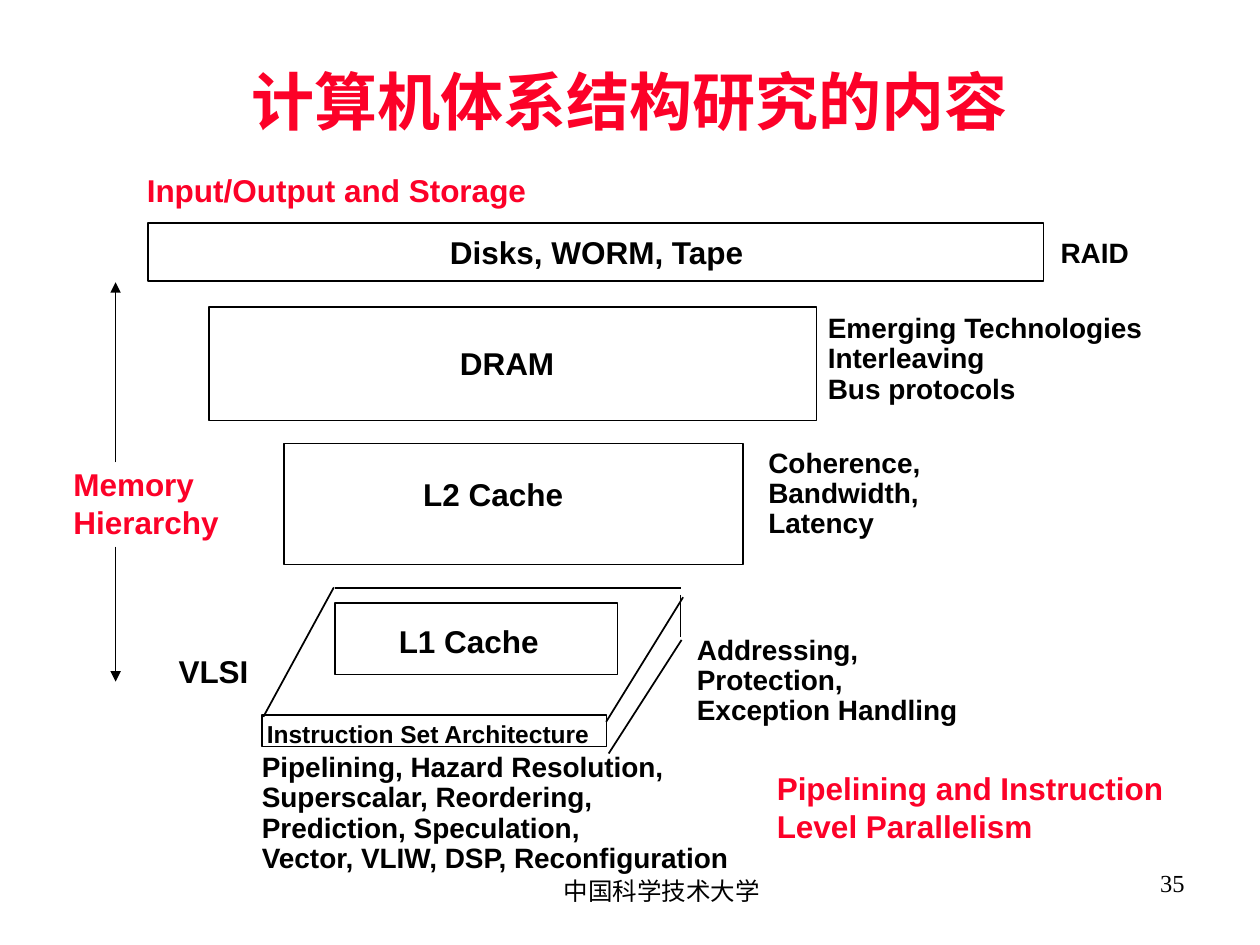
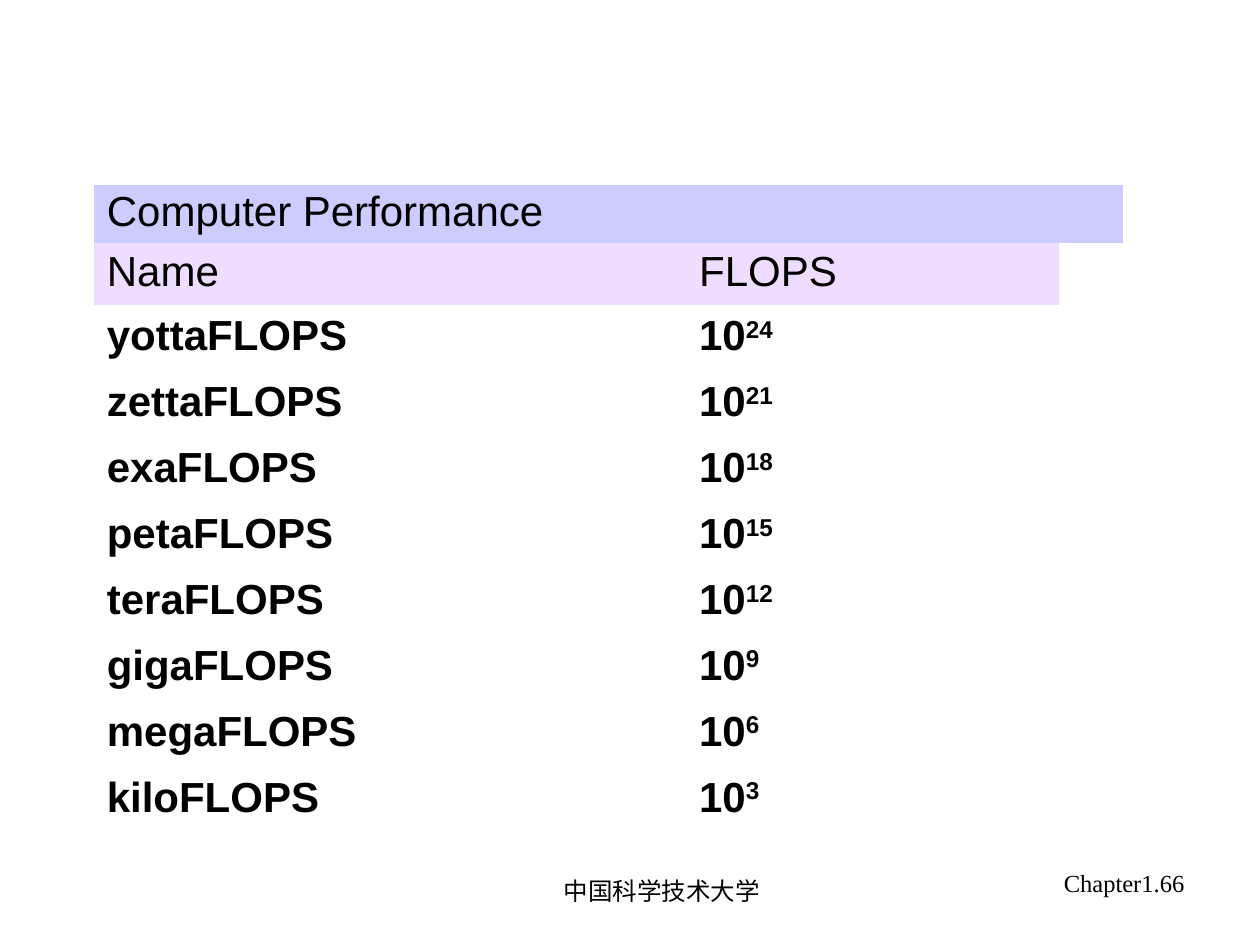
"""Build two computer architecture slides: the research topics and the FLOPS scale."""
from lxml import etree
from pptx import Presentation
from pptx.dml.color import RGBColor
from pptx.enum.shapes import MSO_CONNECTOR, MSO_SHAPE
from pptx.enum.text import MSO_ANCHOR, PP_ALIGN
from pptx.oxml.ns import qn
from pptx.util import Cm, Pt

COLOURS = {"ink": "000000", "red": "FC0128", "blue_band": "CCCCFF", "lilac_band": "EEDDFF"}
CJK_FONT = "Noto Sans CJK SC"
NO_STYLE = "{2D5ABB26-0587-4C30-8999-92F81FD0307C}"


def write(frame, text, size=18, colour="ink", bold=True, font="Arial",
          align=PP_ALIGN.LEFT, spacing=0.9, power=None):
    for index, line in enumerate(text.split("\n")):
        paragraph = frame.paragraphs[0] if index == 0 else frame.add_paragraph()
        paragraph.alignment = align
        paragraph.line_spacing = spacing
        for part in filter(None, (line, power)):
            run = paragraph.add_run()
            run.text = part
            run.font.size = Pt(size)
            run.font.bold = bold
            run.font.name = font
            run.font.color.rgb = RGBColor.from_string(COLOURS[colour])
            properties = run.font._element
            etree.SubElement(properties, qn("a:ea")).set("typeface", CJK_FONT)
            if part == power:
                properties.set("baseline", "30000")


def draw_line(slide, start, end, arrow=False):
    line = slide.shapes.add_connector(MSO_CONNECTOR.STRAIGHT, *map(Cm, start + end))
    line.line.width = Pt(1)
    line.line.color.rgb = RGBColor.from_string(COLOURS["ink"])
    if arrow:
        etree.SubElement(line.line._get_or_add_ln(), qn("a:tailEnd")).set("type", "triangle")
    etree.SubElement(line._element.spPr, qn("a:effectLst"))


deck = Presentation()
deck.slide_width, deck.slide_height = Cm(25.4), Cm(19.05)
topics, performance = [deck.slides.add_slide(deck.slide_layouts[6]) for _ in range(2)]

for slide, number in ((topics, "35"), (performance, "Chapter1.66")):
    university = slide.shapes.add_textbox(Cm(9.32), Cm(17.32), Cm(8.05), Cm(1.27)).text_frame
    university.vertical_anchor = MSO_ANCHOR.MIDDLE
    write(university, "中国科学技术大学", size=14, bold=False, font="Times New Roman",
          align=PP_ALIGN.CENTER, spacing=1.0)
    page = slide.shapes.add_textbox(Cm(18.21), Cm(17.38), Cm(5.92), Cm(1.32)).text_frame
    page.word_wrap = True
    write(page, number, size=14, bold=False, font="Times New Roman",
          align=PP_ALIGN.RIGHT, spacing=1.0)

title = topics.shapes.add_textbox(Cm(2.75), Cm(1.27), Cm(19.9), Cm(1.7)).text_frame
title.word_wrap = True
title.vertical_anchor = MSO_ANCHOR.MIDDLE
write(title, "计算机体系结构研究的内容", size=36, colour="red", font=CJK_FONT,
      align=PP_ALIGN.CENTER)

levels = [
    (2.98, 4.5, 18.06, 1.17),
    (4.22, 6.19, 12.24, 2.29),
    (5.73, 8.94, 9.25, 2.44),
    (6.76, 12.15, 5.69, 1.45),
    (5.28, 14.41, 6.95, 0.64),
]
for bounds in levels:
    level = topics.shapes.add_shape(MSO_SHAPE.RECTANGLE, *map(Cm, bounds))
    level.shadow.inherit = False
    level.fill.background()
    level.line.width = Pt(1)
    level.line.color.rgb = RGBColor.from_string(COLOURS["ink"])

chip_edges = [
    ((5.31, 14.45), (6.73, 11.84)),
    ((6.76, 11.86), (13.72, 11.86)),
    ((13.77, 12.04), (12.22, 14.55)),
    ((13.72, 11.99), (13.72, 12.85)),
    ((13.74, 12.9), (12.27, 15.19)),
]
for start, end in chip_edges:
    draw_line(topics, start, end)
for start_y, end_y in ((9.32, 5.69), (11.02, 13.74)):
    draw_line(topics, (2.33, start_y), (2.33, end_y), arrow=True)

labels = [
    ("Disks, WORM, Tape", 18, (8.89, 4.71, 6.9, 0.84)),
    ("DRAM", 18, (9.09, 6.94, 2.9, 0.84)),
    ("L2 Cache", 18, (8.35, 9.58, 3.8, 0.84)),
    ("L1 Cache", 18, (7.86, 12.55, 3.8, 0.84)),
    ("VLSI", 18, (3.42, 13.16, 2.2, 0.84)),
    ("Instruction Set Architecture", 14, (5.2, 14.49, 7.4, 0.69)),
    ("RAID", 16, (21.2, 4.75, 2.3, 0.76)),
    ("Emerging Technologies\nInterleaving\nBus protocols", 16, (16.51, 6.26, 7.3, 1.98)),
    ("Coherence,\nBandwidth,\nLatency", 16, (15.31, 8.98, 4, 1.98)),
    ("Addressing,\nProtection,\nException Handling", 16, (13.87, 12.75, 6.2, 1.98)),
    ("Pipelining, Hazard Resolution,\nSuperscalar, Reordering,\nPrediction, Speculation,\n"
     "Vector, VLIW, DSP, Reconfiguration", 16, (5.1, 15.11, 10.3, 2.59)),
]
for text, size, bounds in labels:
    label = topics.shapes.add_textbox(*map(Cm, bounds)).text_frame
    label.word_wrap = True
    label.margin_left = label.margin_right = Cm(0.18)
    label.margin_top = label.margin_bottom = Cm(0.08)
    write(label, text, size=size)

areas = [
    ("Input/Output and Storage", (2.71, 3.33, 8.8, 1.02)),
    ("Memory\nHierarchy", (1.23, 9.25, 4, 1.78)),
    ("Pipelining and Instruction\nLevel Parallelism", (15.41, 15.38, 9, 1.78)),
]
for text, bounds in areas:
    area = topics.shapes.add_textbox(*map(Cm, bounds)).text_frame
    area.word_wrap = True
    write(area, text, colour="red", spacing=1.0)

prefixes = ["yotta", "zetta", "exa", "peta", "tera", "giga", "mega", "kilo"]
flops = performance.shapes.add_table(
    len(prefixes) + 2, 3, Cm(1.9), Cm(3.73), Cm(20.74), Cm(13.08)).table
flops.first_row = flops.horz_banding = False
flops._tbl.tblPr.find(qn("a:tableStyleId")).text = NO_STYLE
for column, width in zip(flops.columns, (11.94, 7.5, 1.3)):
    column.width = Cm(width)
for index, row in enumerate(flops.rows):
    row.height = Cm((1.17, 1.25)[index] if index < 2 else 1.33)
    for cell in row.cells:
        cell.vertical_anchor = MSO_ANCHOR.MIDDLE
        cell.fill.background()

flops.cell(0, 0).merge(flops.cell(0, 2))
headings = [
    (0, 0, "Computer Performance", "blue_band"),
    (1, 0, "Name", "lilac_band"),
    (1, 1, "FLOPS", "lilac_band"),
]
for row, column, text, band in headings:
    heading = flops.cell(row, column)
    heading.fill.solid()
    heading.fill.fore_color.rgb = RGBColor.from_string(COLOURS[band])
    write(heading.text_frame, text, size=24, bold=False)
for index, prefix in enumerate(prefixes):
    write(flops.cell(index + 2, 0).text_frame, f"{prefix}FLOPS", size=24)
    write(flops.cell(index + 2, 1).text_frame, "10", size=24,
          power=str(3 * (len(prefixes) - index)))

deck.save("out.pptx")
